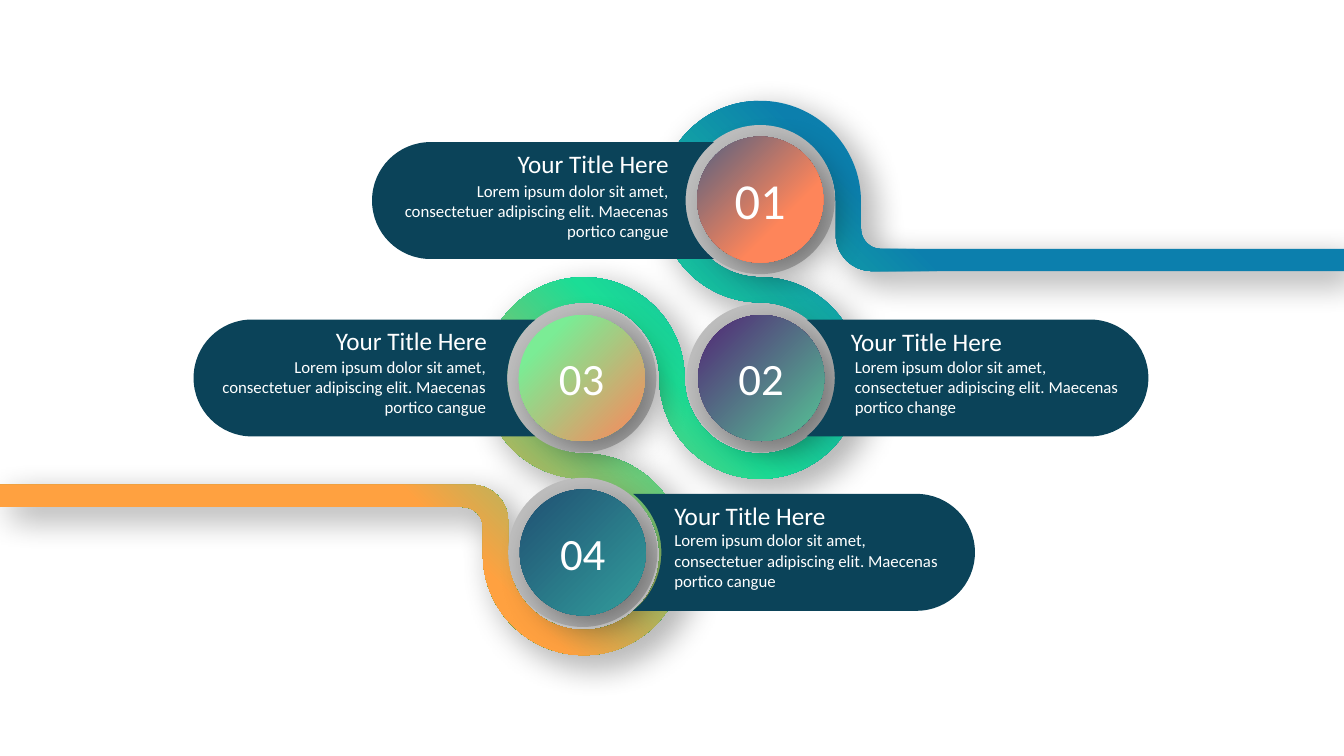
from dataclasses import dataclass
from math import asin, ceil, cos, degrees, radians, sin, tan

from lxml import etree
from pptx import Presentation
from pptx.dml.color import RGBColor
from pptx.enum.shapes import MSO_SHAPE
from pptx.enum.text import MSO_ANCHOR, MSO_AUTO_SIZE, PP_ALIGN
from pptx.oxml.ns import qn
from pptx.util import Inches, Pt

OVAL = MSO_SHAPE.OVAL
MIDDLE = MSO_ANCHOR.MIDDLE
FIT = MSO_AUTO_SIZE.SHAPE_TO_FIT_TEXT
LEFT, CENTER, RIGHT = PP_ALIGN.LEFT, PP_ALIGN.CENTER, PP_ALIGN.RIGHT

WIDTH, HEIGHT = 13.33, 7.5
NAVY, RING_GRAY, WHITE = "0B4359", "BFBFBF", "FFFFFF"
DISC_SIZE, RING_SIZE = 1.25, 1.48
NOTCH_RADIUS, PILL_RADIUS, PILL_REACH = 0.74, 0.58, 3.85
TITLE_SIZE, BODY_SIZE = 18, 12
TITLE = "Your Title Here"
BODY = "Lorem ipsum dolor sit amet, consectetuer adipiscing elit. Maecenas portico "
RIBBON_STOPS = ((30, "0C7FAD"), (50, "1BDD96"), (70, "FFA140"))
SHADOW = {"blurRad": Pt(25), "dist": Pt(12), "dir": 45 * 60000,
          "algn": "tl", "rotWithShape": 0}

Point = tuple[float, float]
Leg = tuple[Point, ...]
Stops = tuple[tuple[int, str], ...]


@dataclass(frozen=True)
class Label:
    left: float
    top: float
    width: float
    height: float
    align: PP_ALIGN


@dataclass(frozen=True)
class Step:
    number: str
    number_size: int
    center: Point
    pill_center: Point
    side: int
    stops: Stops
    title: Label
    body: Label
    last_word: str = "cangue"


STEPS = (
    Step("01", 36, (7.54, 1.98), (7.54, 1.99), -1, ((33, "FE855A"), (100, "536081")),
         Label(4.68, 1.42, 2.41, 0.4, CENTER), Label(3.8, 1.74, 2.93, 0.71, RIGHT)),
    Step("03", 32, (5.77, 3.75), (5.77, 3.75), -1, ((0, "FE855A"), (79, "7BEC95")),
         Label(2.52, 3.18, 2.41, 0.4, RIGHT), Label(2.09, 3.49, 2.83, 0.71, RIGHT)),
    Step("02", 32, (7.55, 3.75), (7.54, 3.75), 1, ((0, "56C596"), (100, "512575")),
         Label(8.34, 3.19, 2.41, 0.4, LEFT), Label(8.38, 3.49, 2.83, 0.71, LEFT), "change"),
    Step("04", 32, (5.78, 5.48), (5.82, 5.48), 1, ((0, "329D9C"), (100, "205072")),
         Label(6.59, 4.91, 2.41, 0.4, LEFT), Label(6.59, 5.21, 2.83, 0.71, LEFT)),
)


def color(value: str) -> RGBColor:
    return RGBColor.from_string(value)


def arc(center: Point, radius: float, start: float, end: float) -> list[Leg]:
    count = ceil(abs(end - start) / 90)
    sweep = radians(end - start) / count
    pull = 4 / 3 * tan(sweep / 4)

    def at(angle: float, offset: float = 0) -> Point:
        return (center[0] + radius * (cos(angle) - offset * sin(angle)),
                center[1] + radius * (sin(angle) + offset * cos(angle)))

    angles = [radians(start) + sweep * i for i in range(count + 1)]
    curves = [(at(a, pull), at(b, -pull), at(b)) for a, b in zip(angles, angles[1:])]
    return [(at(angles[0]),), *curves]


def ribbon_outline() -> list[Leg]:
    half = [
        *arc((7.54, 2), 1, -90, 0),
        *arc((8.74, 2.27), 0.2, 180, 90),
        ((WIDTH, 2.47),),
        ((WIDTH, 2.69),),
        *arc((8.65, 2.33), 0.36, 90, 180),
        *arc((7.54, 2), 0.75, 0, -270),
        *arc((7.54, 3.75), 1, -90, 180),
        *arc((5.79, 3.75), 0.75, 0, -270),
        *arc((5.79, 5.5), 1, -90, 90),
    ]
    return half + [tuple((WIDTH - x, HEIGHT - y) for x, y in leg) for leg in half]


def pill_outline(step: Step) -> list[Leg]:
    x, y = step.pill_center
    notch = degrees(asin(PILL_RADIUS / NOTCH_RADIUS))
    cap_center = (x + PILL_REACH - PILL_RADIUS, y)
    legs = (arc((x, y), NOTCH_RADIUS, notch, -notch)
            + arc(cap_center, PILL_RADIUS, -90, 90))
    return [tuple((x + step.side * (px - x), py) for px, py in leg) for leg in legs]


def add_outline(shapes, legs: list[Leg]):
    start, *rest = [(Inches(x), Inches(y)) for leg in legs for x, y in leg]
    builder = shapes.build_freeform(*start)
    builder.add_line_segments(rest, close=True)
    shape = builder.convert_to_shape()
    lines = iter(list(shape._element.spPr.iter(qn("a:lnTo"))))
    for leg in legs[1:]:
        nodes = [next(lines) for _ in leg]
        if len(nodes) == 3:
            curve = etree.Element(qn("a:cubicBezTo"))
            nodes[0].addprevious(curve)
            for node in nodes:
                curve.append(node[0])
                node.getparent().remove(node)
    return plain(shape)


def add_disc(shapes, center: Point, size: float):
    left, top = (Inches(value - size / 2) for value in center)
    return plain(shapes.add_shape(OVAL, left, top, Inches(size), Inches(size)))


def plain(shape):
    shape.shadow.inherit = False
    shape.line.fill.background()
    return shape


def fill_solid(shape, value: str) -> None:
    shape.fill.solid()
    shape.fill.fore_color.rgb = color(value)


def add_child(parent, tag: str, **attributes):
    return etree.SubElement(parent, qn(tag), {k: str(v) for k, v in attributes.items()})


def fill_gradient(shape, stops: Stops, angle: int | None = None) -> None:
    shape.fill.background()
    properties = shape._element.spPr
    gradient = etree.Element(qn("a:gradFill"), rotWithShape="1")
    properties.replace(properties.find(qn("a:noFill")), gradient)
    stop_list = add_child(gradient, "a:gsLst")
    for position, value in stops:
        stop = add_child(stop_list, "a:gs", pos=position * 1000)
        add_child(stop, "a:srgbClr", val=value)
    if angle is None:
        focus = add_child(gradient, "a:path", path="circle")
        add_child(focus, "a:fillToRect", l=100000, t=100000)
    else:
        add_child(gradient, "a:lin", ang=angle * 60000, scaled=0)


def cast_shadow(shape) -> None:
    effects = shape._element.spPr.find(qn("a:effectLst"))
    shadow = add_child(effects, "a:outerShdw", **SHADOW)
    black = add_child(shadow, "a:srgbClr", val="000000")
    add_child(black, "a:alpha", val=40000)


def write(frame, text: str, size: int, align: PP_ALIGN) -> None:
    paragraph = frame.paragraphs[0]
    paragraph.alignment = align
    run = paragraph.add_run()
    run.text = text
    for name, value in {"name": "Calibri", "size": Pt(size)}.items():
        setattr(run.font, name, value)
    run.font.color.rgb = color(WHITE)


def add_label(shapes, label: Label, text: str, size: int) -> None:
    bounds = (label.left, label.top, label.width, label.height)
    frame = shapes.add_textbox(*map(Inches, bounds)).text_frame
    for name, value in {"word_wrap": True, "auto_size": FIT}.items():
        setattr(frame, name, value)
    write(frame, text, size, label.align)


def add_step(shapes, step: Step) -> None:
    fill_solid(add_disc(shapes, step.center, RING_SIZE), RING_GRAY)
    disc = add_disc(shapes, step.center, DISC_SIZE)
    fill_gradient(disc, step.stops)
    cast_shadow(disc)
    disc.text_frame.vertical_anchor = MIDDLE
    write(disc.text_frame, step.number, step.number_size, CENTER)
    fill_solid(add_outline(shapes, pill_outline(step)), NAVY)
    add_label(shapes, step.title, TITLE, TITLE_SIZE)
    add_label(shapes, step.body, BODY + step.last_word, BODY_SIZE)


def main() -> None:
    deck = Presentation()
    deck.slide_width, deck.slide_height = Inches(WIDTH), Inches(HEIGHT)
    slide = deck.slides.add_slide(deck.slide_layouts[6])
    ribbon = add_outline(slide.shapes, ribbon_outline())
    fill_gradient(ribbon, RIBBON_STOPS, angle=135)
    cast_shadow(ribbon)
    for step in STEPS:
        add_step(slide.shapes, step)
    deck.save("out.pptx")


if __name__ == "__main__":
    main()
